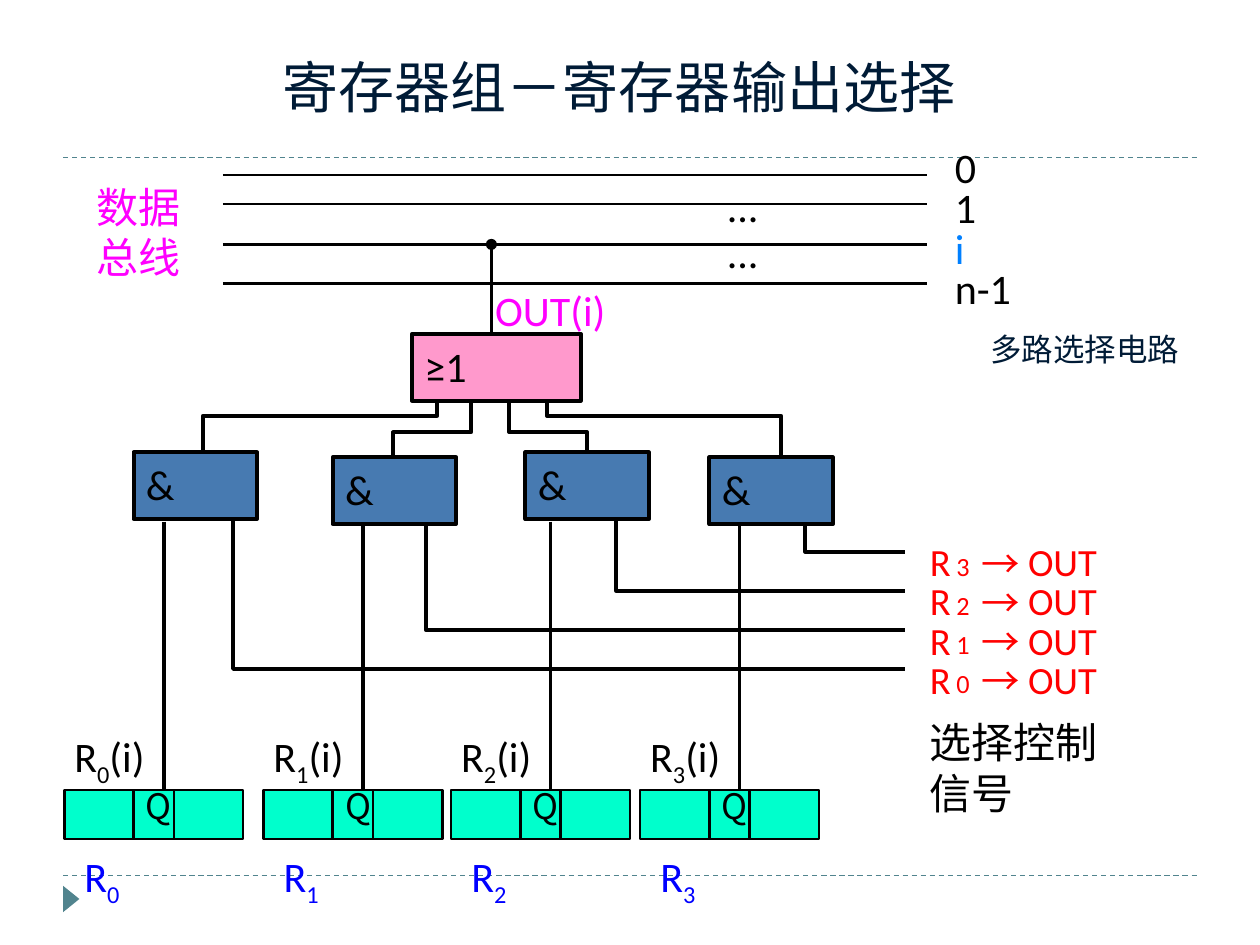
from lxml import etree
from pptx import Presentation
from pptx import util as u
from pptx.dml.color import RGBColor
from pptx.enum import dml, shapes, text
from pptx.oxml.ns import qn

BLACK, RED, BLUE, MAGENTA = "000000", "FF0000", "0000FF", "FF00FF"
NAVY, TEAL = "001B36", "51848E"
LATIN, CJK = "Calibri", "Noto Sans CJK SC"
WIRE, THIN, THICK = 2.13, 1.5, 2.25


def color(value):
    return RGBColor.from_string(value)


def style_line(shape, width, value=BLACK):
    shape.line.width = u.Pt(width)
    shape.line.color.rgb = color(value)


def write(frame, lines, size, value, font=LATIN, spacing=None):
    for index, line in enumerate(lines):
        paragraph = frame.paragraphs[0] if index == 0 else frame.add_paragraph()
        paragraph.alignment = text.PP_ALIGN.LEFT
        paragraph.font.name = font
        paragraph.font.size = u.Pt(size)
        paragraph.font.color.rgb = color(value)
        if spacing:
            paragraph.line_spacing = spacing
        for part, content in enumerate(line.split("_")):
            run = paragraph.add_run()
            run.text = content
            if part == 1:
                run._r.get_or_add_rPr().set("baseline", "-25000")


def add_text(slide, box, lines, size, value, **options):
    frame = slide.shapes.add_textbox(*map(u.Inches, box)).text_frame
    frame.word_wrap = True
    frame.auto_size = text.MSO_AUTO_SIZE.SHAPE_TO_FIT_TEXT
    write(frame, lines, size, value, **options)
    return frame


def add_label(slide, box, content, size, value, font=LATIN):
    frame = add_text(slide, box, [content], size, value, font=font, spacing=1.2)
    frame.word_wrap = False
    frame.margin_left = frame.margin_right = frame.margin_top = frame.margin_bottom = 0


def add_line(slide, start, end, width, value=BLACK):
    line = slide.shapes.add_connector(
        shapes.MSO_CONNECTOR.STRAIGHT, *map(u.Inches, (*start, *end)))
    style_line(line, width, value)
    etree.SubElement(line._element.spPr, qn("a:effectLst"))
    return line


def add_wire(slide, *points):
    corners = [(u.Inches(x), u.Inches(y)) for x, y in points]
    builder = slide.shapes.build_freeform(*corners[0])
    builder.add_line_segments(corners[1:], close=False)
    wire = builder.convert_to_shape()
    wire.shadow.inherit = False
    wire.fill.background()
    style_line(wire, WIRE)


def add_block(slide, box, fill, width, symbol=None):
    block = slide.shapes.add_shape(shapes.MSO_SHAPE.RECTANGLE, *map(u.Inches, box))
    block.shadow.inherit = False
    block.fill.solid()
    block.fill.fore_color.rgb = color(fill)
    style_line(block, width)
    if symbol:
        block.text_frame.vertical_anchor = text.MSO_ANCHOR.TOP
        write(block.text_frame, [symbol], 24, BLACK)


def add_frame(slide):
    for y in (6.95, 1.25):
        rule = add_line(slide, (0.5, y), (9.5, y), 0.75, TEAL)
        rule.line.dash_style = dml.MSO_LINE.DASH
    marker = slide.shapes.add_shape(
        shapes.MSO_SHAPE.ISOSCELES_TRIANGLE, *map(u.Inches, (0.46, 7.07, 0.21, 0.13)))
    marker.rotation = 90
    marker.shadow.inherit = False
    marker.fill.solid()
    marker.fill.fore_color.rgb = color(TEAL)
    marker.line.fill.background()
    title = add_text(slide, (0.49, 0.18, 8.75, 0.82), [" 寄存器组－寄存器输出选择"],
                     32, NAVY, font="Roboto Slab")
    title.auto_size = text.MSO_AUTO_SIZE.NONE
    title.vertical_anchor = text.MSO_ANCHOR.BOTTOM
    title.paragraphs[0].alignment = text.PP_ALIGN.CENTER


def add_bus(slide):
    for y in (1.39, 1.62, 1.94, 2.25):
        add_line(slide, (1.77, y), (7.36, y), THIN)
    add_text(slide, (0.67, 1.39, 1.02, 0.9), ["数据总线"], 24, MAGENTA)
    bits = add_text(slide, (7.48, 1.15, 0.79, 1.38), ["0", "1", "i", "n-1"],
                    24, BLACK, spacing=0.8)
    bits.paragraphs[2].font.color.rgb = color("0080FF")
    add_text(slide, (5.67, 1.43, 1.06, 0.82), ["...", "..."], 24, BLACK, spacing=0.9)


def add_output(slide):
    add_label(slide, (3.93, 2.18, 1.04, 0.48), "OUT(i)", 24, MAGENTA)
    output = add_line(slide, (3.9, 1.94), (3.9, 2.69), WIRE)
    etree.SubElement(output.line._get_or_add_ln(), qn("a:headEnd"), type="oval")
    for pin, turn, gate in ((3.47, 3.3, 1.61), (4.34, 3.3, 6.2),
                            (3.74, 3.43, 3.12), (4.04, 3.43, 4.66)):
        add_wire(slide, (pin, 3.09), (pin, turn), (gate, turn), (gate, 3.68))


def add_control(slide, number, pin):
    drop = 0.31 * (3 - number)
    add_wire(slide, (pin, 4.11), (pin, 4.38 + drop), (7.18, 4.38 + drop))
    top = 4.2 + drop
    add_label(slide, (7.38, top, 0.22, 0.44), "R", 22, RED)
    add_label(slide, (7.59, top + 0.12, 0.1, 0.3), str(number), 15, RED)
    add_label(slide, (7.79, top + 0.01, 0.31, 0.44), "→", 22, RED, CJK)
    add_label(slide, (8.16, top, 0.66, 0.44), "OUT", 22, RED)


def add_register(slide, number, left):
    add_line(slide, (left + 0.79, 4.14), (left + 0.79, 6.27), WIRE)
    add_label(slide, (left + 0.08, 5.71, 0.67, 0.48), f"R_{number}_(i)", 24, BLACK)
    add_block(slide, (left, 6.27, 1.42, 0.39), "00FFCC", THIN)
    for x in (left + 0.55, left + 0.87):
        add_line(slide, (x, 6.27), (x, 6.66), THIN)
    add_text(slide, (left + 0.55, 6.18, 0.47, 0.43), ["Q"], 20, BLACK, font=CJK)
    add_label(slide, (left + 0.16, 6.66, 0.35, 0.48), f"R_{number}", 24, BLUE)


def main():
    deck = Presentation()
    deck.slide_width, deck.slide_height = u.Inches(10), u.Inches(7.5)
    slide = deck.slides.add_slide(deck.slide_layouts[6])
    add_frame(slide)
    add_output(slide)
    for number, pin in enumerate((1.85, 3.38, 4.89, 6.39)):
        add_control(slide, number, pin)
    add_text(slide, (7.76, 2.57, 1.89, 1.03), ["多路选择电路"], 18, NAVY)
    add_bus(slide)
    for number, left in enumerate((0.51, 2.09, 3.58, 5.08)):
        add_register(slide, number, left)
    add_text(slide, (7.28, 5.64, 1.81, 0.9), ["选择控制信号"], 24, BLACK)
    for left, top in ((1.06, 3.59), (2.64, 3.63), (4.17, 3.59), (5.63, 3.63)):
        add_block(slide, (left, top, 0.98, 0.53), "477AB1", THICK, "&")
    add_block(slide, (3.27, 2.65, 1.34, 0.53), "FF99CC", THICK, "≥1")
    deck.save("out.pptx")


if __name__ == "__main__":
    main()
